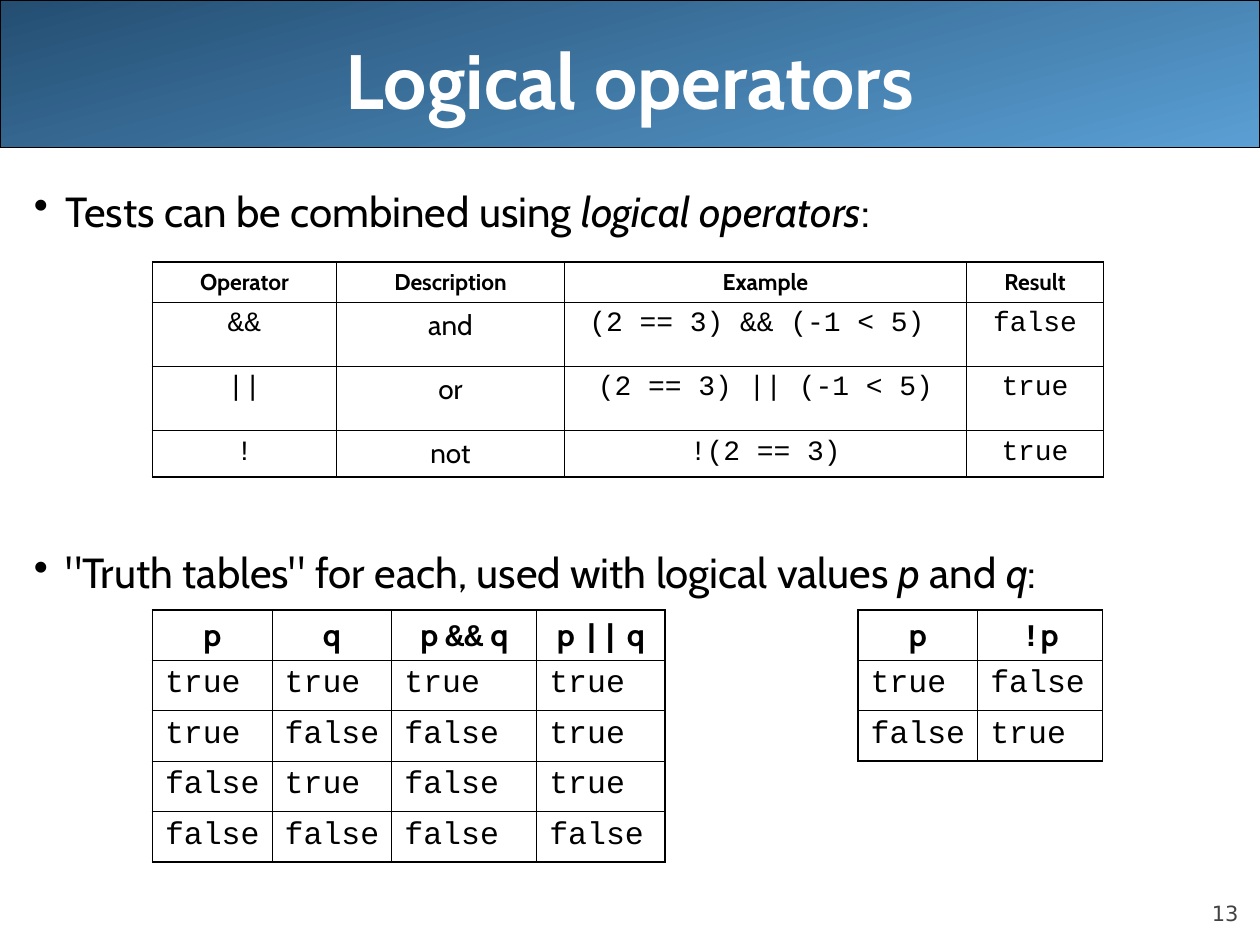
from lxml import etree
from pptx import Presentation
from pptx import util as u
from pptx.dml.color import RGBColor
from pptx.enum import shapes, text
from pptx.oxml import ns

BLACK = RGBColor(0x00, 0x00, 0x00)
WHITE = RGBColor(0xFF, 0xFF, 0xFF)
GREY = RGBColor(0x42, 0x42, 0x42)
LIGHT_BLUE = RGBColor(0x5A, 0x9F, 0xD4)
DARK_BLUE = RGBColor(0x24, 0x4E, 0x72)

CENTER = text.PP_ALIGN.CENTER
LEFT = text.PP_ALIGN.LEFT
RIGHT = text.PP_ALIGN.RIGHT
MIDDLE = text.MSO_ANCHOR.MIDDLE
TOP = text.MSO_ANCHOR.TOP
BOTTOM = text.MSO_ANCHOR.BOTTOM

SANS = {"name": "Cabin", "bold": False}
BOLD = {"name": "Cabin", "bold": True}
CODE = {"name": "Courier New", "bold": False}
BOLD_CODE = {"name": "Courier New", "bold": True}
ITALIC = {"name": "Cabin", "italic": True}


class SlideBuilder:
    outer_line = u.Pt(1.08)
    inner_line = u.Pt(0.45)

    def __init__(self, slide):
        self.slide = slide

    def banner(self, left, top, width, height):
        banner = self.slide.shapes.add_shape(
            shapes.MSO_SHAPE.RECTANGLE, left, top, width, height)
        banner.shadow.inherit = False
        banner.fill.gradient()
        banner.fill.gradient_angle = 105
        for stop, color in zip(banner.fill.gradient_stops, (LIGHT_BLUE, DARK_BLUE)):
            stop.color.rgb = color
        banner.line.color.rgb = BLACK
        banner.line.width = u.Pt(0.75)

    def fill_paragraph(self, para, parts, size, color=BLACK, **layout):
        for key, value in layout.items():
            setattr(para, key, value)
        for words, style in parts:
            span = para.add_run()
            span.text = words
            span.font.color.rgb = color
            for key, value in {"size": u.Pt(size), **style}.items():
                setattr(span.font, key, value)

    def text_box(self, left, top, width, height, anchor, margin=None):
        box = self.slide.shapes.add_textbox(left, top, width, height)
        frame = box.text_frame
        frame.word_wrap = True
        frame.vertical_anchor = anchor
        if margin is not None:
            for side in ("left", "top", "right", "bottom"):
                setattr(frame, f"margin_{side}", margin)
        return frame

    def line(self, words, style, size, color, place, anchor, align, margin=None):
        frame = self.text_box(*place, anchor, margin)
        self.fill_paragraph(
            frame.paragraphs[0], [(words, style)], size, color, alignment=align)

    def bullets(self, place, items, size):
        frame = self.text_box(*place, TOP)
        for index, (gap, parts) in enumerate(items):
            para = frame.add_paragraph() if index else frame.paragraphs[0]
            self.fill_paragraph(para, parts, size, space_before=u.Pt(gap))
            properties = para._p.get_or_add_pPr()
            properties.set("marL", str(u.Inches(0.25)))
            properties.set("indent", str(-u.Inches(0.25)))
            etree.SubElement(properties, ns.qn("a:buChar"), char="•")

    def border(self, cell, side, width):
        properties = cell._tc.get_or_add_tcPr()
        edge = etree.SubElement(properties, ns.qn(f"a:ln{side}"), w=str(width))
        fill = etree.SubElement(edge, ns.qn("a:solidFill"))
        etree.SubElement(fill, ns.qn("a:srgbClr"), val=str(BLACK))

    def table(self, left, top, widths, heights, rows, header, body):
        grid = self.slide.shapes.add_table(
            len(rows), len(widths), left, top,
            u.Inches(sum(widths)), u.Inches(sum(heights))).table
        grid.first_row = grid.horz_banding = False
        for column, width in zip(grid.columns, widths):
            column.width = u.Inches(width)
        for row, height in zip(grid.rows, heights):
            row.height = u.Inches(height)
        last_row, last_column = len(rows) - 1, len(widths) - 1
        for r, row in enumerate(rows):
            for c, parts in enumerate(row):
                cell = grid.cell(r, c)
                self.fill_paragraph(
                    cell.text_frame.paragraphs[0], parts, **(body if r else header))
                edges = {"L": c == 0, "R": c == last_column,
                         "T": r == 0, "B": r == last_row}
                for side, outer in edges.items():
                    self.border(cell, side, self.outer_line if outer else self.inner_line)
                cell.fill.background()


def cells(words, *styles):
    return [[(word, style)] for word, style in zip(words, styles)]


def code_row(*words):
    return cells(words, *[CODE] * len(words))


def operator_row(*words):
    return cells(words, CODE, SANS, CODE, CODE)


def main():
    deck = Presentation()
    deck.slide_width, deck.slide_height = u.Inches(10), u.Inches(7.5)
    page = SlideBuilder(deck.slides.add_slide(deck.slide_layouts[6]))

    def place(*lengths):
        return [u.Inches(length) for length in lengths]

    page.banner(*place(0, 0, 10, 1.17))
    page.line("13", {"name": "DejaVu Sans"}, 12, GREY,
              place(9, 6.95, 0.83, 0.4), BOTTOM, RIGHT, margin=0)
    page.line("Logical operators", BOLD, 44, WHITE,
              place(0.5, 0, 9, 1.25), MIDDLE, CENTER)
    page.bullets(place(0.17, 1.42, 9.83, 5.67), [
        (6, [("Tests can be combined using ", SANS),
             ("logical operators", ITALIC), (":", SANS)]),
        (178, [('"Truth tables" for each, used with logical values ', SANS),
               ("p", ITALIC), (" and ", SANS), ("q", ITALIC), (":", SANS)]),
    ], 24)

    page.table(
        *place(1.21, 2.08), [1.46, 1.81, 3.19, 1.09], [0.29, 0.51, 0.51, 0.34],
        [cells(("Operator", "Description", "Example", "Result"), *[BOLD] * 4),
         operator_row("&&", "and", "(2 == 3) && (-1 < 5) ", "false"),
         operator_row("||", "or", "(2 == 3) || (-1 < 5)", "true"),
         operator_row("!", "not", "!(2 == 3)", "true")],
        header={"size": 13, "alignment": CENTER, "space_before": u.Pt(3.3)},
        body={"size": 16, "alignment": CENTER, "space_before": u.Pt(4)})

    truth_style = {
        "header": {"size": 18, "alignment": CENTER, "space_before": u.Pt(4.5)},
        "body": {"size": 18, "alignment": LEFT, "space_before": u.Pt(4.5)}}
    combined = [[("p ", BOLD), (sign, BOLD_CODE), (" q", BOLD)] for sign in ("&&", "||")]
    page.table(
        *place(1.21, 4.84), [0.95, 0.95, 1.15, 1.02], [0.4] * 5,
        [cells(("p", "q"), BOLD, BOLD) + combined,
         code_row("true", "true", "true", "true"),
         code_row("true", "false", "false", "true"),
         code_row("false", "true", "false", "true"),
         code_row("false", "false", "false", "false")],
        **truth_style)
    page.table(
        *place(6.81, 4.84), [0.95, 0.99], [0.4] * 3,
        [[[("p", BOLD)], [("!", BOLD_CODE), ("p", BOLD)]],
         code_row("true", "false"),
         code_row("false", "true")],
        **truth_style)

    deck.save("out.pptx")


if __name__ == "__main__":
    main()
